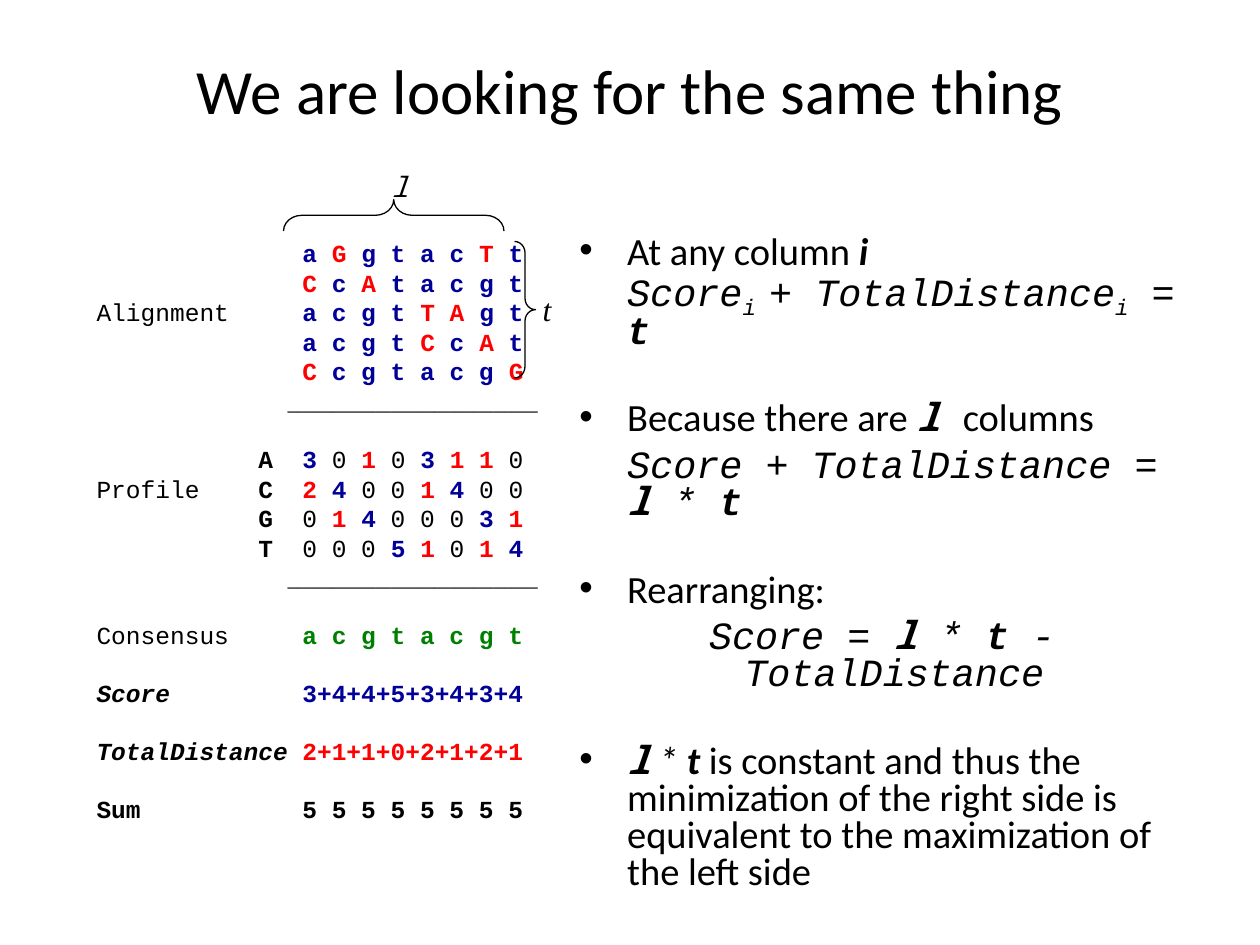
"""Build the slide that relates motif score and total distance."""
from lxml.etree import SubElement
from pptx import Presentation
from pptx.dml.color import RGBColor as RGB
from pptx.enum.shapes import MSO_SHAPE as SHAPE
from pptx.enum.text import MSO_ANCHOR as ANCHOR, PP_ALIGN as ALIGN
from pptx.oxml.ns import qn
from pptx.util import Inches, Pt

COLOURS = {"black": "000000", "blue": "000099", "red": "FF0000", "green": "008000"}
SANS, CODE, MONO, SERIF = "Calibri", "Courier New", "Noto Sans Mono", "Times New Roman"
STYLES = {
    "plain": ("black", False, False),
    "bold": ("black", True, False),
    "italic": ("black", False, True),
    "strong": ("black", True, True),
    "blue": ("blue", True, False),
    "red": ("red", True, False),
    "green": ("green", True, False),
}

deck = Presentation()
deck.slide_width, deck.slide_height = Inches(10), Inches(7.5)
column, row = deck.slide_width / 120, deck.slide_height / 90
slide = deck.slides.add_slide(deck.slide_layouts[5])


def cells(left, top, width, height):
    return [int(n * unit) for n, unit in zip((left, top, width, height), (column, row) * 2)]


def add_run(paragraph, text, size, face, style="plain", baseline=None):
    colour, bold, italic = STYLES[style]
    run = paragraph.add_run()
    run.text = text
    font = run.font
    font.size, font.name, font.bold, font.italic = Pt(size), face, bold, italic
    font.color.rgb = RGB.from_string(COLOURS[colour])
    if baseline:
        run._r.get_or_add_rPr().set("baseline", str(baseline))


title = slide.shapes.title
title.left, title.top, title.width, title.height = cells(6, 1, 108, 15)
title.text_frame.vertical_anchor = ANCHOR.MIDDLE
heading = title.text_frame.paragraphs[0]
heading.alignment = ALIGN.CENTER
add_run(heading, "We are looking for the same thing", 36, SANS)

TIGHT, BREAK = 3.5, 19.7
CHARACTER = 0.6 * 14 / 72
SEQUENCE, PROFILE, RULE = (14,), (11, 14), (13,)
rule_text = [("\t" + "_" * 17, "plain")]
alignment_rows = [
    (SEQUENCE, 0, [("\ta ", "blue"), ("G", "red"), (" g t a c ", "blue"), ("T", "red"), (" t", "blue")]),
    (SEQUENCE, TIGHT, [("\t", "blue"), ("C", "red"), (" c ", "blue"), ("A", "red"), (" t a c g t", "blue")]),
    (SEQUENCE, TIGHT, [("Alignment", "plain"), ("\ta c g t ", "blue"), ("T A", "red"), (" g t", "blue")]),
    (SEQUENCE, TIGHT, [("\ta c g t ", "blue"), ("C", "red"), (" c ", "blue"), ("A", "red"), (" t", "blue")]),
    (SEQUENCE, TIGHT, [("\t", "blue"), ("C", "red"), (" c g t a c g ", "blue"), ("G", "red")]),
    (RULE, TIGHT, rule_text),
    (PROFILE, BREAK, [("\tA\t", "bold"), ("3", "blue"), (" 0 ", "plain"), ("1", "red"), (" 0 ", "plain"),
                      ("3 ", "blue"), ("1 1", "red"), (" 0", "plain")]),
    (PROFILE, TIGHT, [("Profile", "plain"), ("\tC\t", "bold"), ("2 ", "red"), ("4", "blue"), (" 0 0 ", "plain"),
                      ("1 ", "red"), ("4", "blue"), (" 0 0", "plain")]),
    (PROFILE, TIGHT, [("\tG\t", "bold"), ("0 ", "plain"), ("1 ", "red"), ("4", "blue"), (" 0 0 0 ", "plain"),
                      ("3 ", "blue"), ("1", "red")]),
    (PROFILE, TIGHT, [("\tT\t", "bold"), ("0 0 0 ", "plain"), ("5 ", "blue"), ("1", "red"), (" 0 ", "plain"),
                      ("1 ", "red"), ("4", "blue")]),
    (RULE, TIGHT, rule_text),
    (SEQUENCE, BREAK, [("Consensus", "plain"), ("\ta c g t a c g t", "green")]),
    (SEQUENCE, BREAK, [("Score", "strong"), ("\t3+4+4+5+3+4+3+4", "blue")]),
    (SEQUENCE, BREAK, [("TotalDistance", "strong"), ("\t2+1+1+0+2+1+2+1", "red")]),
    (SEQUENCE, BREAK, [("Sum\t5 5 5 5 5 5 5 5", "bold")]),
]
alignment = slide.shapes.add_textbox(*cells(2, 22, 53, 59.4)).text_frame
alignment.word_wrap = True
alignment.margin_left, alignment.margin_top = Inches(0.6), Inches(0.1)
for index, (stops, gap, runs) in enumerate(alignment_rows):
    line = alignment.add_paragraph() if index else alignment.paragraphs[0]
    line.line_spacing, line.space_before = 0.8, Pt(gap)
    tabs = SubElement(line._p.get_or_add_pPr(), qn("a:tabLst"))
    for stop in stops:
        SubElement(tabs, qn("a:tab"), pos=str(Inches(stop * CHARACTER)), algn="l")
    for text, style in runs:
        add_run(line, text, 14, CODE, style)

NEXT, NEW_POINT = 5.5, 29
arguments = [
    (True, ALIGN.LEFT, 0, [
        ("At any column ", SANS), ("i", SANS, "strong"), ("\v", SANS, "strong"), ("Score", CODE, "italic"),
        ("i ", CODE, "italic", -25000), ("+ ", CODE), ("TotalDistance", CODE, "italic"),
        ("i", CODE, "italic", -25000), (" = ", CODE), ("t", CODE, "strong")]),
    (True, ALIGN.LEFT, NEW_POINT, [
        ("Because there are ", SANS), ("l ", MONO, "strong"), ("columns", SANS)]),
    (False, ALIGN.LEFT, NEXT, [
        ("Score + TotalDistance ", CODE, "italic"), ("= ", CODE), ("l", MONO, "strong"),
        (" * ", CODE, "italic"), ("t", CODE, "strong")]),
    (True, ALIGN.LEFT, NEW_POINT, [("Rearranging:", SANS)]),
    (False, ALIGN.CENTER, NEXT, [
        ("Score ", CODE, "italic"), ("= ", CODE), ("l", MONO, "strong"), (" * ", CODE, "italic"),
        ("t", CODE, "strong"), (" - TotalDistance ", CODE, "italic")]),
    (True, ALIGN.LEFT, NEW_POINT, [
        ("l", MONO, "strong"), (" * ", SANS, "italic"), ("t", SANS, "strong"),
        (" is constant and thus the minimization of the right side is equivalent to the "
         "maximization of the left side", SANS)]),
]
argument = slide.shapes.add_textbox(*cells(54, 21, 60, 59.4)).text_frame
argument.word_wrap = True
argument.margin_top = Inches(0.12)
for index, (bulleted, align, gap, runs) in enumerate(arguments):
    point = argument.add_paragraph() if index else argument.paragraphs[0]
    point.alignment, point.line_spacing, point.space_before = align, 0.8, Pt(gap)
    properties = point._p.get_or_add_pPr()
    properties.set("marL", str(Inches(0.38)))
    hanging = bulleted or align == ALIGN.CENTER
    properties.set("indent", str(Inches(-0.38 if hanging else 0)))
    if bulleted:
        SubElement(properties, qn("a:buFont"), typeface="Arial")
        SubElement(properties, qn("a:buChar"), char="•")
    for text, face, *look in runs:
        if text == "\v":
            point.add_line_break()
        else:
            add_run(point, text, 22, face, *look)

for place, turn, curl in [((36, 10, 3, 21), 270, 0.583), ((49, 23, 2, 13), 0, 0.542)]:
    brace = slide.shapes.add_shape(SHAPE.RIGHT_BRACE, *cells(*place))
    brace.rotation = turn
    brace.adjustments[0], brace.adjustments[1] = curl, 0.5
    brace.shadow.inherit = False
    brace.fill.background()
    brace.line.color.rgb = RGB.from_string(COLOURS["black"])
    brace.line.width = Pt(0.75)

for place, wrap, symbol, size, face in [
    ((36.1, 15.6, 3.1, 4.4), False, "l", 16, MONO),
    ((50, 27, 4.2, 4.8), True, "t", 18, SERIF),
]:
    measure = slide.shapes.add_textbox(*cells(*place)).text_frame
    measure.word_wrap = wrap
    label = measure.paragraphs[0]
    label.alignment = ALIGN.CENTER
    add_run(label, symbol, size, face, "italic")

deck.save("out.pptx")
